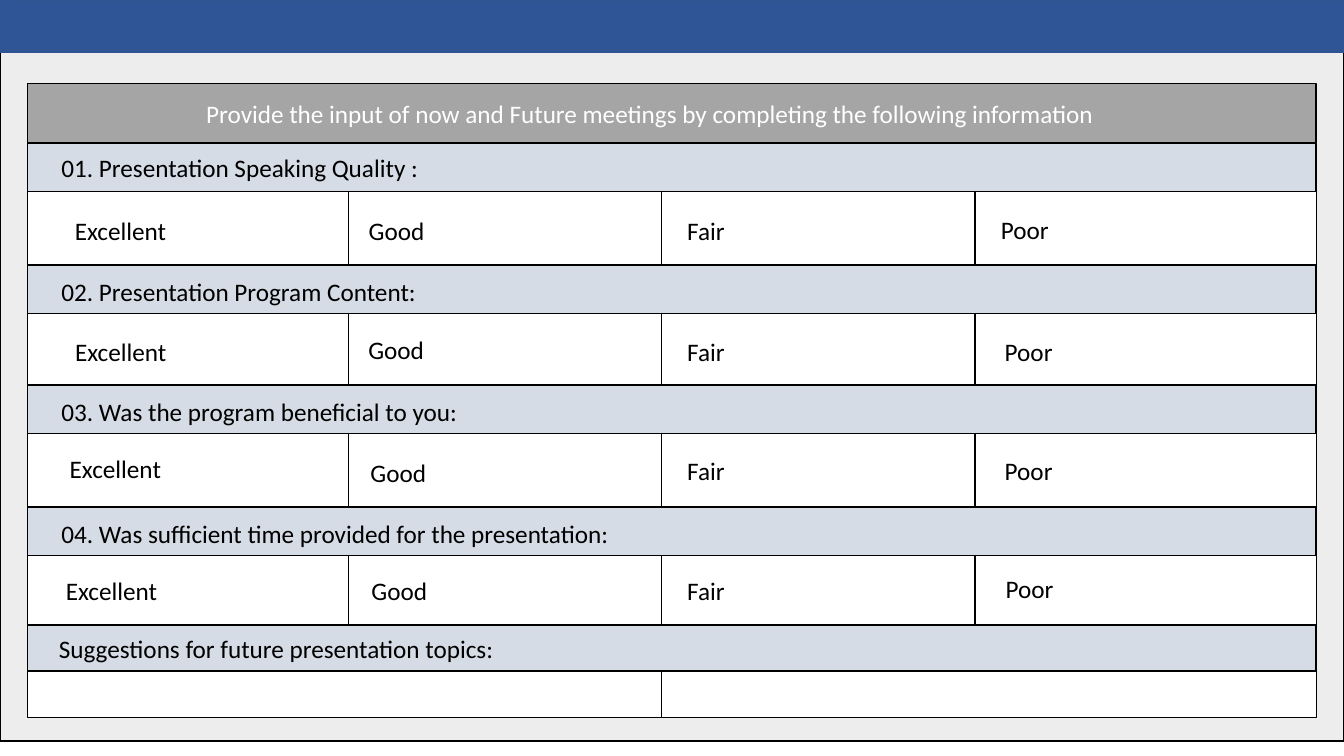
from itertools import pairwise

from pptx import Presentation
from pptx.dml.color import RGBColor
from pptx.enum.shapes import MSO_SHAPE
from pptx.enum.text import MSO_ANCHOR, MSO_AUTO_SIZE, PP_ALIGN
from pptx.util import Pt


def colour(value):
    return RGBColor.from_string(value)


class Form:
    font = "Calibri"
    size = 18
    ink = "000000"
    band = "D6DCE5"
    paper = "FFFFFF"

    def __init__(self, page):
        self.page = page

    def panel(self, left, top, width, height, fill, line="000000"):
        shape = self.page.shapes.add_shape(
            MSO_SHAPE.RECTANGLE, Pt(left), Pt(top), Pt(width), Pt(height))
        shape.shadow.inherit = False
        shape.fill.solid()
        shape.fill.fore_color.rgb = colour(fill)
        shape.line.color.rgb = colour(line)
        shape.line.width = Pt(1)

    def cells(self, edges, top, height):
        for left, right in pairwise(edges):
            self.panel(left, top, right - left, height, self.paper)

    def set_text(self, box, text, ink):
        frame = box.text_frame
        frame.word_wrap = True
        frame.auto_size = MSO_AUTO_SIZE.NONE
        frame.vertical_anchor = MSO_ANCHOR.TOP
        frame.text = text
        para = frame.paragraphs[0]
        para.alignment = PP_ALIGN.LEFT
        para.line_spacing = 1.0
        para.space_before = Pt(0)
        para.font.name = self.font
        para.font.size = Pt(self.size)
        para.font.color.rgb = colour(ink)

    def label(self, text, left, top, width):
        box = self.page.shapes.add_textbox(Pt(left), Pt(top), Pt(width), Pt(29))
        self.set_text(box, text, self.ink)

    def title(self, text, left, top, width):
        box = self.page.shapes.title
        box.left, box.top, box.width, box.height = Pt(left), Pt(top), Pt(width), Pt(29)
        self.set_text(box, text, self.paper)
        self.page.shapes.element.append(box.element)


LEFT, RIGHT = 19.5, 940.2
WIDTH = RIGHT - LEFT
COLUMNS = [LEFT, 248.8, 472.4, 696.4, RIGHT]
RATINGS = ["Excellent", "Good", "Fair", "Poor"]
BAND_HEIGHT = 34.5
LABEL_WIDTH = 820

QUESTIONS = [
    ("01. Presentation Speaking Quality :", 102.3, 105.4, 189.4,
     [(46.4, 150), (256.3, 150), (483.8, 150), (707.8, 149.2)]),
    ("02. Presentation Program Content:", 189.4, 193.9, 275,
     [(46.6, 236.4), (256, 235), (483.8, 237), (710.6, 237)]),
    ("03. Was the program beneficial to you:", 275, 279.6, 362.2,
     [(42.7, 320.6), (257.5, 323), (483.8, 322), (710.6, 322)]),
    ("04. Was sufficient time provided for the presentation:", 362.2, 366.4, 446.4,
     [(39.9, 407.7), (258.3, 407.7), (483.8, 407.7), (711.2, 406.2)]),
]


def main():
    deck = Presentation()
    deck.slide_width, deck.slide_height = Pt(960), Pt(540)
    form = Form(deck.slides.add_slide(deck.slide_layouts[5]))

    form.panel(0, 37.5, 960, 491.8, "EDEDED")
    form.panel(0, 0, 960, 37.5, "2F5597", "325491")
    form.panel(LEFT, 59.5, WIDTH, 42.8, "A5A5A5")
    form.title("Provide the input of now and Future meetings by completing "
               "the following information", 140.1, 66.6, LABEL_WIDTH)

    for question, top, label_top, bottom, spots in QUESTIONS:
        form.panel(LEFT, top, WIDTH, BAND_HEIGHT, form.band)
        form.label(question, 36.8, label_top, LABEL_WIDTH)
        cell_top = top + BAND_HEIGHT
        form.cells(COLUMNS, cell_top, bottom - cell_top)
        for rating, (left, rating_top) in zip(RATINGS, spots):
            form.label(rating, left, rating_top, 93.6)

    form.panel(LEFT, 446.4, WIDTH, 33, form.band)
    form.label("Suggestions for future presentation topics:", 35, 448.9, LABEL_WIDTH)
    form.cells(COLUMNS[::2], 479.4, 33)

    deck.save("out.pptx")


if __name__ == "__main__":
    main()
